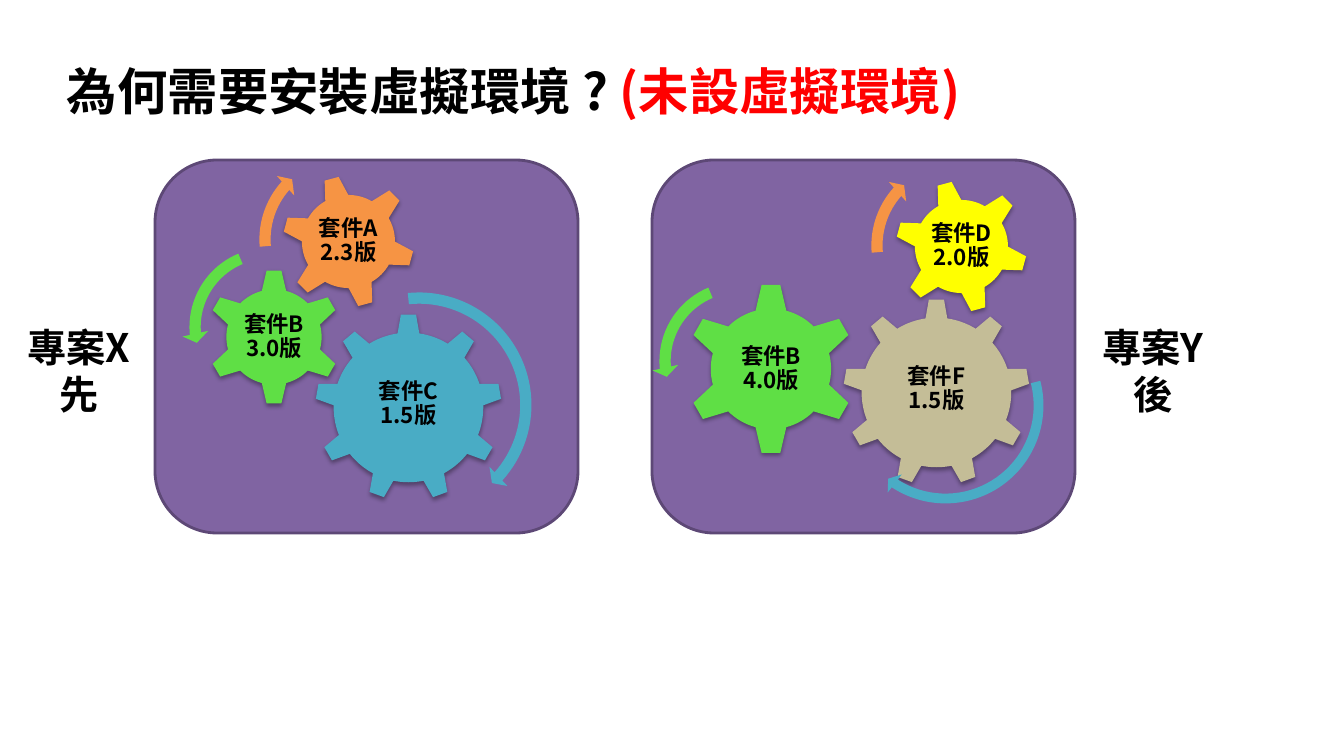
from lxml import etree
from pptx import Presentation
from pptx import util as u
from pptx.dml.color import RGBColor
from pptx.enum import shapes, text
from pptx.oxml.ns import qn

PX = 914400 / 100.8
FONT = "Noto Sans CJK TC"
BLACK, RED, PURPLE, DARK_PURPLE = "000000", "FF0000", "8064A2", "5D4876"
GREEN, ORANGE, BLUE, YELLOW, TAN = "5FDF45", "F69444", "49ACC5", "FFFF00", "C4BD97"

TITLE = [("為何需要安裝虛擬環境 ? ", BLACK), ("(未設虛擬環境)", RED)]
TITLE_BOX = (57, 47, 1145, 86)
PANEL_SIZE = (423, 373)

GEAR_KINDS = {
    "six": shapes.MSO_SHAPE.GEAR_6,
    "nine": shapes.MSO_SHAPE.GEAR_9,
}
ARROW_KINDS = {
    "long": (shapes.MSO_SHAPE.CIRCULAR_ARROW, (4687, 299029, 2516221, 15858829, 5469)),
    "left": (shapes.MSO_SHAPE.LEFT_CIRCULAR_ARROW, (6452, 429999, 10489124, 14837806, 7527)),
    "short": (shapes.MSO_SHAPE.CIRCULAR_ARROW, (5984, 394124, 13313824, 10508221, 6981)),
}

# gears: kind, left, top, size, rotation, colour, label, label width, label height, label lift
# arrows: kind, left, top, size, rotation, colour
PROJECTS = [
    {
        "panel": (155, 160),
        "caption": ("專案X\n先", (16, 318, 126, 105)),
        "gears": [
            ("nine", 315, 314, 187, 0, BLUE, "套件C\v1.5版", 112, 96, 3),
            ("six", 206, 269, 136, 0, GREEN, "套件B\v3.0版", 68, 68, 0),
            ("six", 282, 175, 133, 345, ORANGE, "套件A\v2.3版", 75, 75, 0),
        ],
        "arrows": [
            ("long", 299, 285, 240, 0, BLUE),
            ("left", 182, 240, 174, 0, GREEN),
            ("short", 252, 146, 187, 0, ORANGE),
        ],
    },
    {
        "panel": (652, 160),
        "caption": ("專案Y\n後", (1091, 318, 124, 105)),
        "gears": [
            ("nine", 843, 299, 187, 0, TAN, "套件F\v1.5版", 112, 96, 3),
            ("six", 685, 283, 172, 0, GREEN, "套件B\v4.0版", 86, 86, 0),
            ("six", 895, 180, 133, 345, YELLOW, "套件D\v2.0版", 75, 75, 0),
        ],
        "arrows": [
            ("long", 841, 301, 209, 81.1, BLUE),
            ("left", 652, 274, 174, 0, GREEN),
            ("short", 864, 152, 187, 0, ORANGE),
        ],
    },
]


def emu(*lengths):
    return [u.Emu(round(length * PX)) for length in lengths]


def colour(value):
    return RGBColor.from_string(value)


def add_filled(slide, kind, box, fill, rotation=0):
    shape = slide.shapes.add_shape(kind, *emu(*box))
    shape.shadow.inherit = False
    shape.fill.solid()
    shape.fill.fore_color.rgb = colour(fill)
    shape.line.fill.background()
    shape.rotation = rotation
    return shape


def add_shadow(shape):
    effects = shape._element.spPr.find(qn("a:effectLst"))
    shadow = etree.SubElement(effects, qn("a:outerShdw"), blurRad="40000",
                              dist="23000", dir="5400000", rotWithShape="0")
    tint = etree.SubElement(shadow, qn("a:srgbClr"), val=BLACK)
    etree.SubElement(tint, qn("a:alpha"), val="35000")


def format_run(run, size, ink=BLACK):
    run.font.size = u.Pt(size)
    run.font.bold = True
    run.font.color.rgb = colour(ink)
    run.font.name = FONT
    etree.SubElement(run._r.get_or_add_rPr(), qn("a:ea"), typeface=FONT)


def add_text_frame(slide, box, anchor):
    frame = slide.shapes.add_textbox(*emu(*box)).text_frame
    frame.word_wrap = True
    frame.vertical_anchor = anchor
    return frame


def add_centred_text(slide, words, box, size, anchor):
    frame = add_text_frame(slide, box, anchor)
    frame.text = words
    for paragraph in frame.paragraphs:
        paragraph.alignment = text.PP_ALIGN.CENTER
        for run in paragraph.runs:
            format_run(run, size)
    return frame


def add_title(slide):
    frame = add_text_frame(slide, TITLE_BOX, text.MSO_ANCHOR.MIDDLE)
    for words, ink in TITLE:
        run = frame.paragraphs[0].add_run()
        run.text = words
        format_run(run, 36, ink)


def add_gear(slide, kind, left, top, size, rotation, fill, label, width, height, lift):
    gear = add_filled(slide, GEAR_KINDS[kind], (left, top, size, size), fill, rotation)
    add_shadow(gear)
    box = (left + (size - width) / 2, top + (size - height) / 2 - lift, width, height)
    frame = add_centred_text(slide, label, box, 16, text.MSO_ANCHOR.MIDDLE)
    frame.margin_left, frame.margin_top, frame.margin_right, frame.margin_bottom = emu(2, 2, 2, 2)
    frame.paragraphs[0].line_spacing = 0.9


def add_arrow(slide, kind, left, top, size, rotation, fill):
    preset, adjustments = ARROW_KINDS[kind]
    arrow = add_filled(slide, preset, (left, top, size, size), fill, rotation)
    for index, value in enumerate(adjustments):
        arrow.adjustments[index] = value / 100000


def add_project(slide, project):
    panel = add_filled(slide, shapes.MSO_SHAPE.ROUNDED_RECTANGLE,
                       project["panel"] + PANEL_SIZE, PURPLE)
    panel.line.color.rgb = colour(DARK_PURPLE)
    panel.line.width = u.Pt(2)
    words, box = project["caption"]
    caption = add_centred_text(slide, words, box, 28, text.MSO_ANCHOR.TOP)
    caption.auto_size = text.MSO_AUTO_SIZE.SHAPE_TO_FIT_TEXT
    for gear in project["gears"]:
        add_gear(slide, *gear)
    for arrow in project["arrows"]:
        add_arrow(slide, *arrow)


def main():
    presentation = Presentation()
    presentation.slide_width, presentation.slide_height = emu(1344, 756)
    slide = presentation.slides.add_slide(presentation.slide_layouts[6])
    add_title(slide)
    for project in PROJECTS:
        add_project(slide, project)
    presentation.save("out.pptx")


if __name__ == "__main__":
    main()
